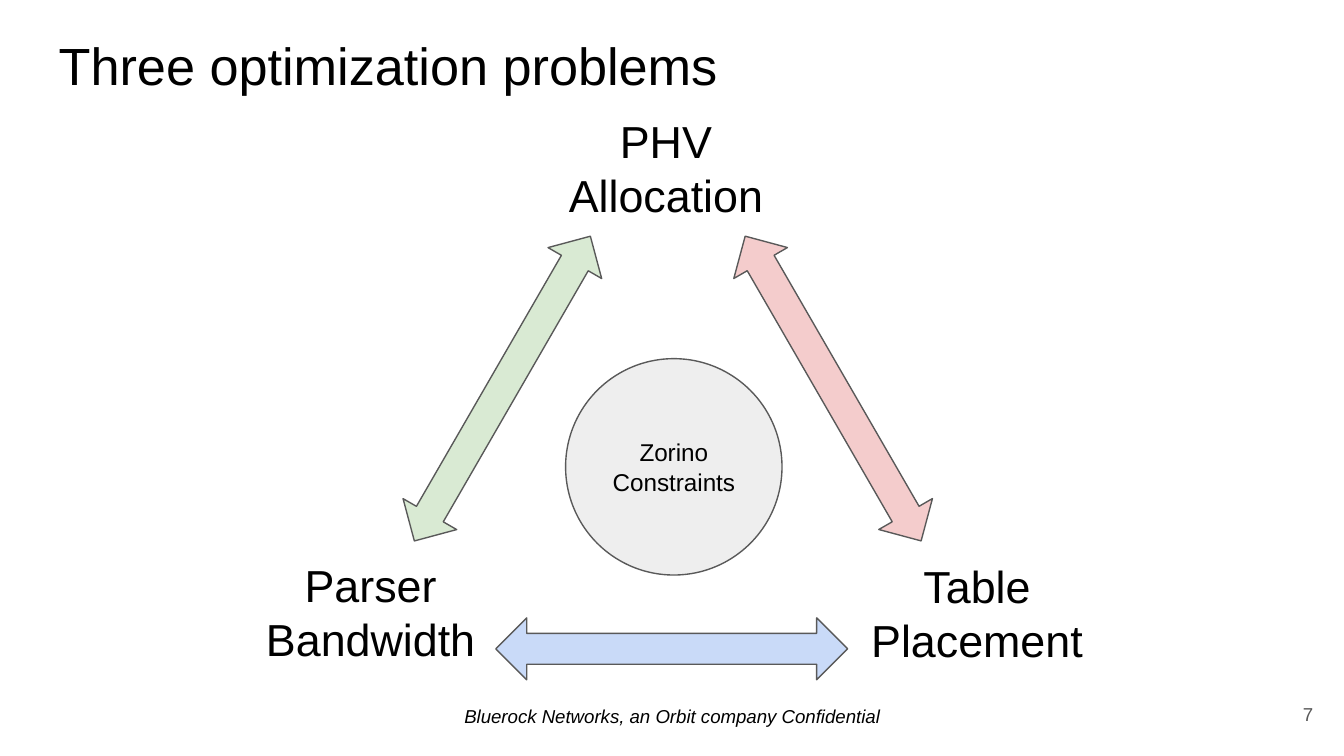
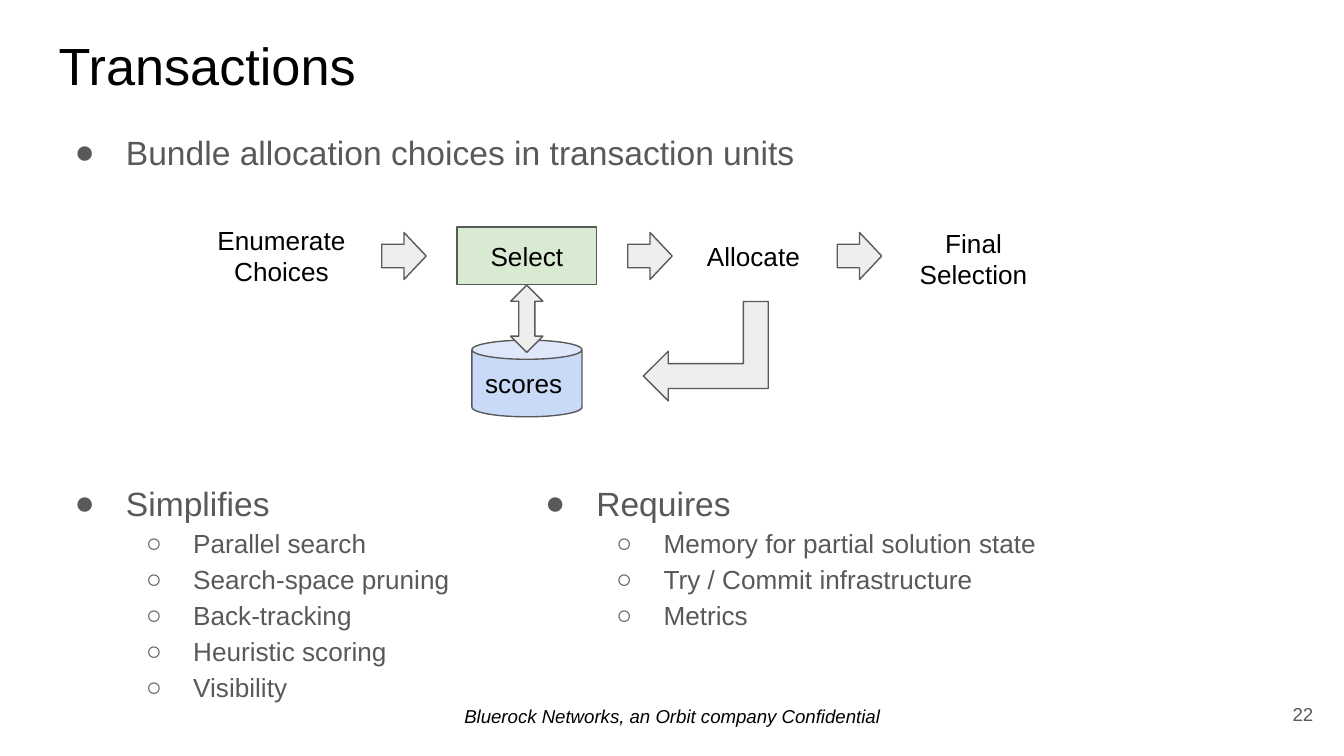
from lxml.etree import SubElement
from pptx import Presentation
from pptx.dml.color import RGBColor
from pptx.enum.shapes import MSO_SHAPE
from pptx.enum.text import MSO_ANCHOR, MSO_AUTO_SIZE, PP_ALIGN
from pptx.oxml.ns import qn
from pptx.util import Cm, Pt

COLORS = {
    "black": "000000",
    "gray": "595959",
    "light": "EEEEEE",
    "green": "D9EAD3",
    "blue": "C9DAF8",
    "red": "F4CCCC",
}
FONT = "Arial"
FOOTER = "Bluerock Networks, an Orbit company Confidential"
TITLE_ONLY, COMPARISON = 5, 4
BULLETS = [
    {"char": "●", "size": 18, "margin": 1.27, "indent": -0.97},
    {"char": "○", "size": 14, "margin": 2.54, "indent": -0.89},
]


def color(name):
    return RGBColor.from_string(COLORS[name])


def write(frame, text, size=14, ink="black", align=PP_ALIGN.CENTER,
          anchor=MSO_ANCHOR.TOP, italic=False):
    """Fill a text frame, one paragraph for each line of text."""
    frame.word_wrap = True
    frame.auto_size = MSO_AUTO_SIZE.NONE
    frame.vertical_anchor = anchor
    frame.margin_left = frame.margin_right = Cm(0.25)
    frame.margin_top = frame.margin_bottom = Cm(0.25)
    frame.text = text
    for paragraph in frame.paragraphs:
        paragraph.alignment = align
        paragraph.space_before = Pt(0)
        font = paragraph.runs[0].font
        font.name, font.size = FONT, Pt(size)
        font.bold, font.italic = False, italic
        font.color.rgb = color(ink)


def add_bullet(paragraph, level):
    style = BULLETS[level]
    paragraph.level = level
    paragraph.line_spacing = 1.15
    paragraph.runs[0].font.size = Pt(style["size"])
    properties = paragraph._p.get_or_add_pPr()
    properties.set("marL", str(Cm(style["margin"])))
    properties.set("indent", str(Cm(style["indent"])))
    bullet_color = SubElement(properties, qn("a:buClr"))
    SubElement(bullet_color, qn("a:srgbClr"), val=COLORS["gray"])
    SubElement(properties, qn("a:buFont"), typeface=FONT)
    SubElement(properties, qn("a:buChar"), char=style["char"])


def place(shape, left, top, width, height):
    shape.left, shape.top = Cm(left), Cm(top)
    shape.width, shape.height = Cm(width), Cm(height)


class Deck:
    def __init__(self):
        self.presentation = Presentation()
        self.presentation.slide_width = Cm(25.4)
        self.presentation.slide_height = Cm(14.29)
        self.slide = None

    def start_slide(self, title, number, layout):
        layouts = self.presentation.slide_layouts
        self.slide = self.presentation.slides.add_slide(layouts[layout])
        place(self.slide.shapes.title, 0.86, 0.38, 23.67, 1.6)
        write(self.slide.shapes.title.text_frame, title, size=28, align=PP_ALIGN.LEFT)
        self.label(FOOTER, 0, 13.08, 25.4, 0.81, size=10, italic=True)
        self.label(str(number), 23.55, 12.95, 1.52, 1.09, size=10, ink="gray",
                   align=PP_ALIGN.RIGHT, anchor=MSO_ANCHOR.MIDDLE)

    def label(self, text, left, top, width, height, **style):
        box = self.slide.shapes.add_textbox(Cm(left), Cm(top), Cm(width), Cm(height))
        write(box.text_frame, text, **style)

    def bullet_list(self, index, heading, items, left, top, width, height):
        body = self.slide.placeholders[index]
        place(body, left, top, width, height)
        write(body.text_frame, "\n".join([heading, *items]), ink="gray",
              align=PP_ALIGN.LEFT)
        for position, paragraph in enumerate(body.text_frame.paragraphs):
            add_bullet(paragraph, min(position, 1))

    def shape(self, kind, fill, left, top, width, height, text="", rotation=0,
              flipped=False, **style):
        shape = self.slide.shapes.add_shape(
            kind, Cm(left), Cm(top), Cm(width), Cm(height))
        shape.shadow.inherit = False
        shape.fill.solid()
        shape.fill.fore_color.rgb = color(fill)
        shape.line.color.rgb = color("gray")
        shape.line.width = Pt(0.75)
        shape.rotation = rotation
        if flipped:
            shape._element.spPr.xfrm.set("flipH", "1")
        if text:
            write(shape.text_frame, text, anchor=MSO_ANCHOR.MIDDLE, **style)

    def remove_empty_placeholders(self):
        for placeholder in list(self.slide.placeholders):
            if not placeholder.text_frame.text:
                placeholder._element.getparent().remove(placeholder._element)


def build_problems(deck):
    deck.start_slide("Three optimization problems", 7, TITLE_ONLY)
    for text, left, top, width in [
        ("PHV\nAllocation", 9.32, 1.9, 6.53),
        ("Table Placement", 16.18, 10.31, 4.57),
        ("Parser\nBandwidth", 4.72, 10.29, 4.57),
    ]:
        deck.label(text, left, top, width, 2.31, size=24)
    for fill, left, top, rotation in [
        ("blue", 9.37, 11.68, 0),
        ("green", 6.17, 6.76, 300),
        ("red", 12.42, 6.76, 60),
    ]:
        deck.shape(MSO_SHAPE.LEFT_RIGHT_ARROW, fill, left, top, 6.65, 1.17,
                   rotation=rotation)
    deck.shape(MSO_SHAPE.OVAL, "light", 10.69, 6.78, 4.09, 4.09,
               "Zorino\nConstraints", size=13)


def build_transactions(deck):
    deck.start_slide("Transactions", 22, COMPARISON)
    deck.bullet_list(1, "Bundle allocation choices in transaction units", [],
                     0.86, 2.13, 23.67, 2.06)
    deck.bullet_list(2, "Simplifies",
                     ["Parallel search", "Search-space pruning", "Back-tracking",
                      "Heuristic scoring", "Visibility"],
                     0.86, 8.76, 10.44, 4.9)
    deck.bullet_list(4, "Requires",
                     ["Memory for partial solution state",
                      "Try / Commit infrastructure", "Metrics"],
                     9.75, 8.76, 10.44, 4.9)
    deck.remove_empty_placeholders()

    deck.label("Enumerate Choices", 3.58, 3.99, 3.48, 1.73)
    deck.label("Allocate", 12.5, 4.29, 3.48, 1.09)
    deck.label("Final Selection", 16.94, 4.04, 2.92, 1.6)
    deck.shape(MSO_SHAPE.CAN, "blue", 8.92, 6.43, 2.08, 1.45, "scores",
               align=PP_ALIGN.LEFT)
    deck.shape(MSO_SHAPE.RECTANGLE, "green", 8.64, 4.29, 2.64, 1.09, "Select")
    for left in (7.19, 11.84, 15.8):
        deck.shape(MSO_SHAPE.DOWN_ARROW, "light", left, 4.42, 0.89, 0.84,
                   rotation=270, flipped=True)
    deck.shape(MSO_SHAPE.LEFT_RIGHT_ARROW, "light", 9.32, 5.72, 1.27, 0.61,
               rotation=90)
    deck.shape(MSO_SHAPE.BENT_UP_ARROW, "light", 12.4, 5.46, 1.88, 2.36,
               rotation=270, flipped=True)


def main():
    deck = Deck()
    build_problems(deck)
    build_transactions(deck)
    deck.presentation.save("out.pptx")


if __name__ == "__main__":
    main()
